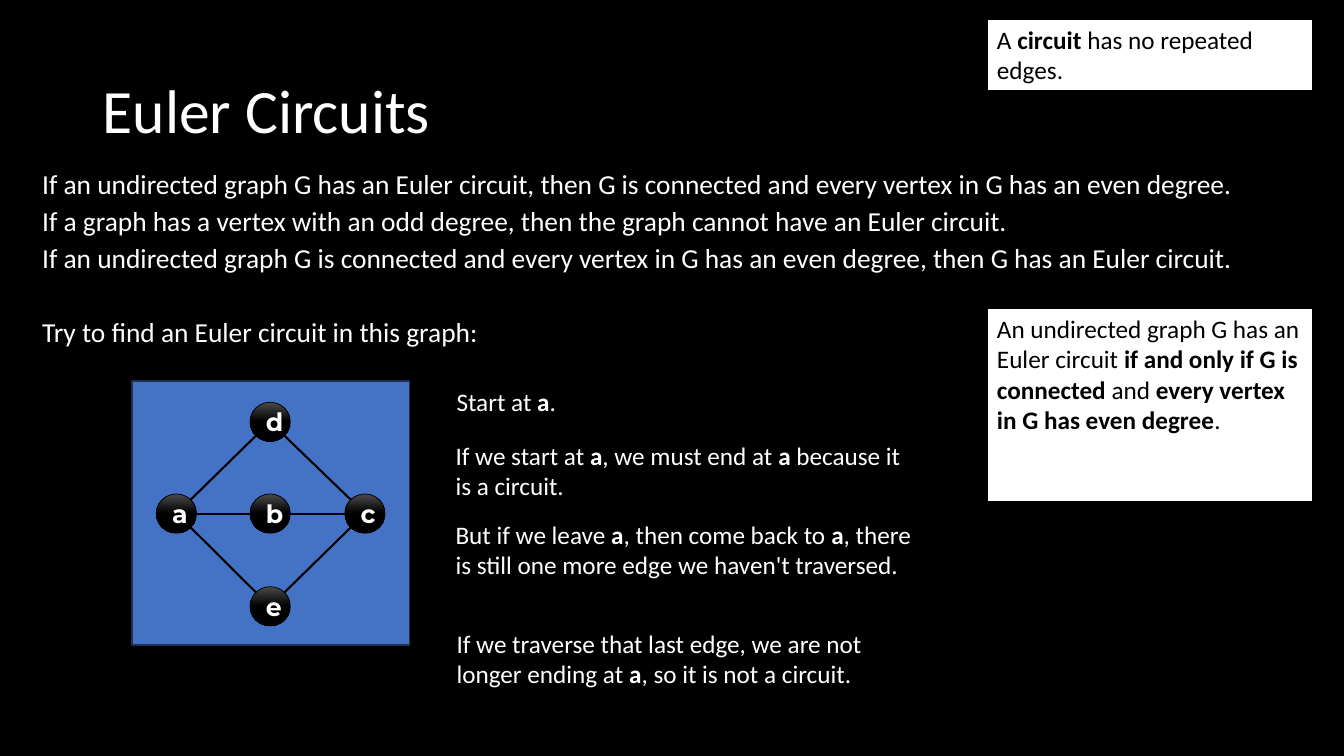
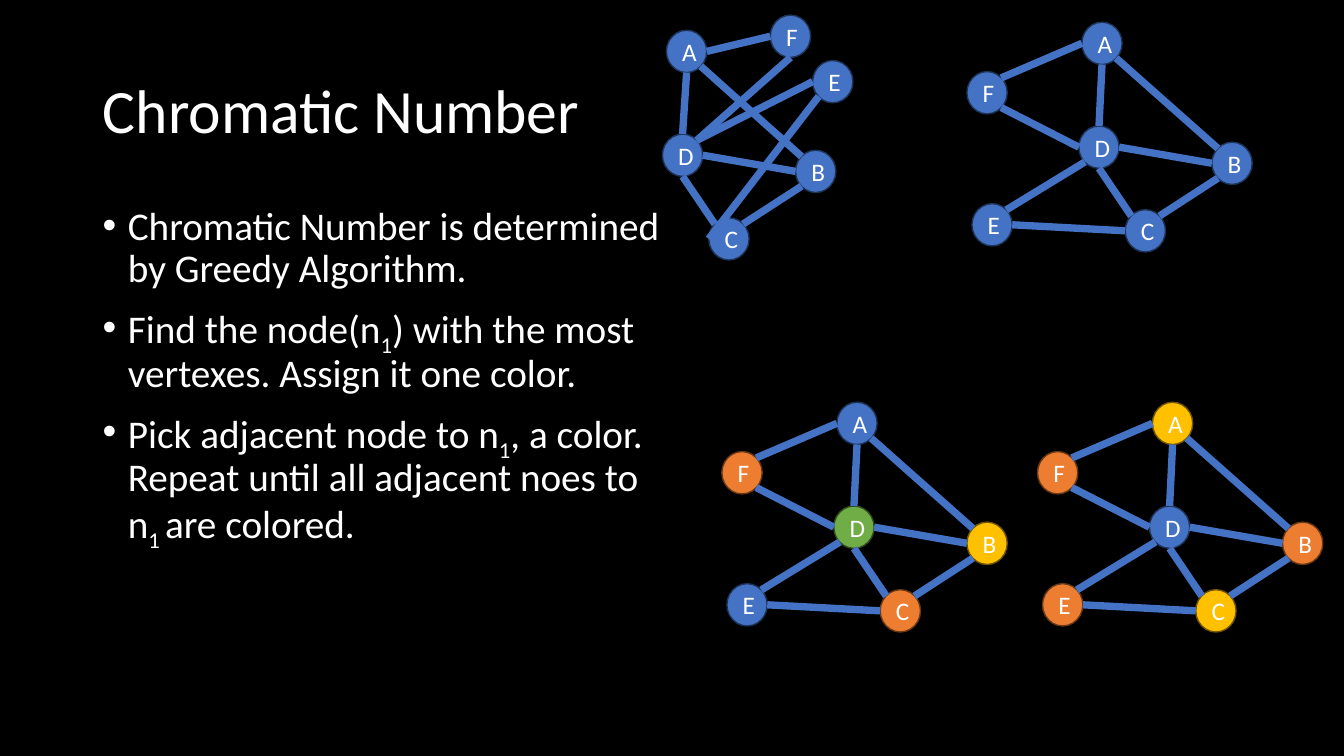
from lxml import etree
from pptx import Presentation
from pptx import util as u
from pptx.dml.color import RGBColor
from pptx.enum import shapes, text
from pptx.oxml.ns import qn

PX = 9144  # EMU in one px, 100 px to the inch
FONT = "Calibri"
COLORS = {
    "black": "000000", "white": "FFFFFF", "gloss": "4B4B4B",
    "blue": "4472C4", "blue edge": "1E3256",
    "yellow": "FFC000", "yellow edge": "705400",
    "orange": "ED7D31", "orange edge": "683715",
    "green": "70AD47", "green edge": "314C1F",
}
# Connection sites of an ellipse: index, then share of width and height.
SITES = {
    "top": (0, 0.5, 0), "top left": (1, 0.15, 0.15),
    "left": (2, 0, 0.5), "bottom left": (3, 0.15, 0.85),
    "bottom": (4, 0.5, 1), "bottom right": (5, 0.85, 0.85),
    "right": (6, 1, 0.5), "top right": (7, 0.85, 0.15),
}

# Each graph gives its nodes relative to its box, and its edges from site to site.
DIAMOND_NODES = {"a": (0, 91), "d": (93, 0), "c": (187, 91), "b": (93, 91), "e": (93, 183)}
DIAMOND_EDGES = [
    ("a", "top right", "d", "bottom left"), ("c", "top left", "d", "bottom right"),
    ("a", "right", "b", "left"), ("b", "right", "c", "left"),
    ("e", "top right", "c", "bottom left"), ("a", "bottom right", "e", "top left"),
]
SHARED_EDGES = [
    ("A", "bottom right", "B", "top left"), ("A", "bottom", "D", "top"),
    ("D", "bottom", "C", "top left"), ("D", "right", "B", "left"),
    ("B", "bottom left", "C", "top right"),
]
TANGLED_NODES = {"A": (4, 15), "B": (132, 134), "C": (46, 201),
                 "D": (0, 118), "E": (149, 45), "F": (107, 0)}
TANGLED_EDGES = SHARED_EDGES + [
    ("A", "right", "F", "left"), ("E", "bottom left", "C", "left"),
    ("E", "left", "D", "top right"), ("F", "bottom", "D", "top right"),
]
PLANAR_NODES = {"A": (114, 0), "B": (243, 119), "C": (157, 186),
                "D": (111, 103), "E": (5, 180), "F": (0, 49)}
PLANAR_EDGES = SHARED_EDGES + [
    ("A", "left", "F", "top right"), ("E", "right", "C", "left"),
    ("E", "top right", "D", "bottom left"), ("F", "bottom right", "D", "left"),
]


def px(*lengths):
    return [u.Emu(round(length * PX)) for length in lengths]


def rgb(name):
    return RGBColor.from_string(COLORS[name])


def add_bullet(paragraph, indent=25):
    properties = paragraph._p.get_or_add_pPr()
    properties.set("marL", str(indent * PX))
    properties.set("indent", str(-indent * PX))
    etree.SubElement(properties, qn("a:buFont"), typeface="Arial")
    etree.SubElement(properties, qn("a:buChar"), char="•")


def write(shape, paragraphs, size=18, color="white", font=FONT, bold=False, mark="bold",
          align=text.PP_ALIGN.LEFT, anchor=text.MSO_ANCHOR.TOP, line=None, gaps=(),
          bullets=False):
    """Fill a shape with text; parts between asterisks are bold or subscript, as mark says."""
    frame = shape.text_frame
    frame.word_wrap = True
    frame.vertical_anchor = anchor
    for index, content in enumerate(paragraphs):
        paragraph = frame.add_paragraph() if index else frame.paragraphs[0]
        if bullets:
            add_bullet(paragraph)
        paragraph.alignment = align
        if line:
            paragraph.line_spacing = line
        if index and gaps:
            paragraph.space_before = u.Pt(gaps[index - 1])
        for part, words in enumerate(content.split("*")):
            if not words:
                continue
            run = paragraph.add_run()
            run.text = words
            run.font.name = font
            run.font.size = u.Pt(size)
            run.font.color.rgb = rgb(color)
            run.font.bold = bold or (part % 2 == 1 and mark == "bold")
            if part % 2 and mark == "subscript":
                run._r.get_or_add_rPr().set("baseline", "-25000")


def add_text(slide, box, paragraphs, **style):
    write(slide.shapes.add_textbox(*px(*box)), paragraphs, **style)


def add_filled(parent, kind, box, fill, edge, width=1):
    shape = parent.add_shape(kind, *px(*box))
    shape.shadow.inherit = False
    shape.fill.solid()
    shape.fill.fore_color.rgb = rgb(fill)
    shape.line.color.rgb = rgb(edge)
    shape.line.width = u.Pt(width)
    return shape


def add_note(slide, box, content):
    note = add_filled(slide.shapes, shapes.MSO_SHAPE.RECTANGLE, box, "white", "black")
    write(note, [content], color="black")


def add_titled_slide(presentation, title):
    slide = presentation.slides.add_slide(presentation.slide_layouts[5])
    placeholder = slide.shapes.title
    placeholder.left, placeholder.top, placeholder.width, placeholder.height = px(92, 40, 1150, 145)
    write(placeholder, [title], size=44, line=0.9, anchor=text.MSO_ANCHOR.MIDDLE)
    return slide


def add_edge(parent, start, start_site, end, end_site, color, width):
    """Join two nodes with a line glued to the named sites."""
    points = []
    for node, site in ((start, start_site), (end, end_site)):
        _, across, down = SITES[site]
        points += [round(node.left + across * node.width), round(node.top + down * node.height)]
    edge = parent.add_connector(shapes.MSO_CONNECTOR.STRAIGHT, *points)
    edge.line.color.rgb = rgb(color)
    edge.line.width = u.Pt(width)
    etree.SubElement(edge.element.spPr, qn("a:effectLst"))
    glue = edge.element.find(".//" + qn("p:cNvCxnSpPr"))
    for tag, node, site in (("a:stCxn", start, start_site), ("a:endCxn", end, end_site)):
        etree.SubElement(glue, qn(tag), id=str(node.shape_id), idx=str(SITES[site][0]))


def add_graph(slide, origin, positions, edges, size=(40, 42), fills=None, glossy=False,
              font=FONT, bold=False, edge_color="blue", edge_width=5.25):
    parent = slide.shapes.add_group_shape().shapes
    nodes = {}
    for label, (x, y) in positions.items():
        fill = (fills or {}).get(label, "blue")
        box = (origin[0] + x, origin[1] + y, *size)
        node = add_filled(parent, shapes.MSO_SHAPE.OVAL, box, fill, fill + " edge")
        if glossy:
            node.fill.gradient()
            node.fill.gradient_angle = 270
            for stop, color, position in zip(node.fill.gradient_stops, ("gloss", "black"), (0, 0.5)):
                stop.color.rgb = rgb(color)
                stop.position = position
            node.line.color.rgb = rgb("black")
            node.line.width = u.Pt(0.5)
        write(node, [label], font=font, bold=bold, align=text.PP_ALIGN.CENTER,
              anchor=text.MSO_ANCHOR.MIDDLE)
        nodes[label] = node
    for start, start_site, end, end_site in edges:
        add_edge(parent, nodes[start], start_site, nodes[end], end_site, edge_color, edge_width)


def add_diamond_panel(slide, left, top):
    add_filled(slide.shapes, shapes.MSO_SHAPE.RECTANGLE, (left, top, 275, 262), "blue", "blue edge")
    add_graph(slide, (left + 24, top + 21), DIAMOND_NODES, DIAMOND_EDGES, size=(40, 39),
              glossy=True, font="Montserrat", bold=True, edge_color="black", edge_width=1.5)


def build_euler_slide(presentation):
    slide = add_titled_slide(presentation, "Euler Circuits")
    add_text(slide, (32, 170, 1275, 228), [
        "If an undirected graph G has an Euler circuit, then G is connected and every vertex in G has an even degree.",
        "If a graph has a vertex with an odd degree, then the graph cannot have an Euler circuit.",
        "If an undirected graph G is connected and every vertex in G has an even degree, then G has an Euler circuit.",
        "Try to find an Euler circuit in this graph:",
    ], size=19.6, line=0.7, gaps=(10, 10, 36.5))
    add_diamond_panel(slide, 131, 378)
    steps = [
        (443, 378, 40, "Start at *a*."),
        (442, 432, 71, "If we start at *a*, we must end at *a* because it is a circuit."),
        (442, 510, 101, "But if we leave *a*, then come back to *a*, there is still one more edge "
                        "we haven't traversed."),
        (443, 618, 101, "If we traverse that last edge, we are not longer ending at *a*, "
                        "so it is not a circuit."),
    ]
    for left, top, height, step in steps:
        add_text(slide, (left, top, 473, height), [step])
    add_note(slide, (979, 306, 323, 192),
             "An undirected graph G has an Euler circuit *if and only if G is connected *and "
             "*every vertex in G has even degree*.")
    add_note(slide, (979, 19, 323, 71), "A *circuit* has no repeated edges.")


def build_chromatic_slide(presentation):
    slide = add_titled_slide(presentation, "Chromatic Number")
    add_text(slide, (92, 200, 575, 476), [
        "Chromatic Number is determined by Greedy Algorithm.",
        "Find the node(n*1*) with the most vertexes. Assign it one color.",
        "Pick adjacent node to n*1*, a color. Repeat until all adjacent noes to n*1 *are colored.",
    ], size=28, line=0.9, gaps=(10, 10), bullets=True, mark="subscript")
    add_graph(slide, (657, 15), TANGLED_NODES, TANGLED_EDGES)
    add_graph(slide, (716, 399), PLANAR_NODES, PLANAR_EDGES,
              fills={"B": "yellow", "C": "orange", "D": "green", "F": "orange"})
    add_graph(slide, (959, 22), PLANAR_NODES, PLANAR_EDGES)
    add_graph(slide, (1029, 399), PLANAR_NODES, PLANAR_EDGES,
              fills={"A": "yellow", "B": "orange", "C": "yellow", "E": "orange", "F": "orange"})


def main():
    presentation = Presentation()
    presentation.slide_width, presentation.slide_height = px(1333, 750)
    background = presentation.slide_master.background.fill
    background.solid()
    background.fore_color.rgb = rgb("black")
    build_euler_slide(presentation)
    build_chromatic_slide(presentation)
    presentation.save("out.pptx")


if __name__ == "__main__":
    main()
